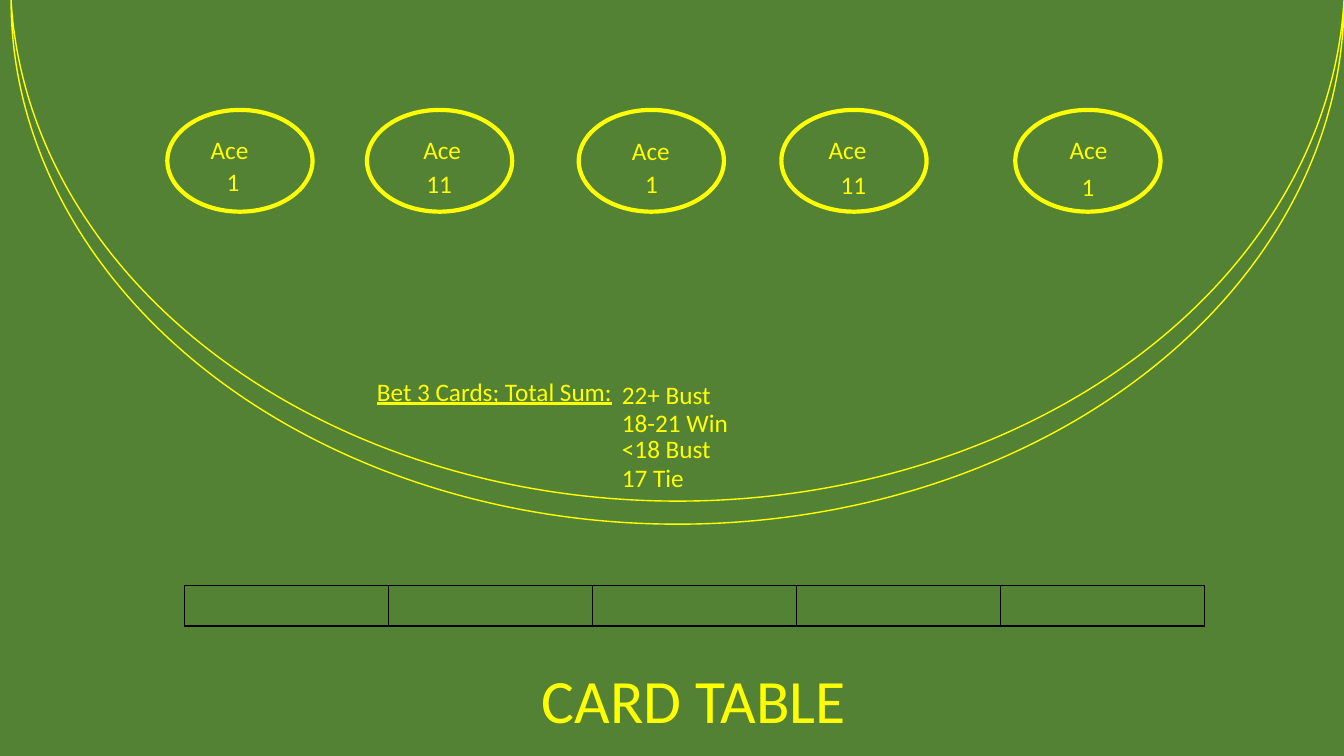
from dataclasses import dataclass

from lxml.etree import SubElement
from pptx import Presentation
from pptx.dml.color import RGBColor as RGB
from pptx.enum.shapes import MSO_SHAPE as SHAPE
from pptx.enum.text import MSO_AUTO_SIZE as AUTO, PP_ALIGN as ALIGN
from pptx.oxml.ns import qn
from pptx.util import Inches, Pt


@dataclass(frozen=True)
class Theme:
    """Colours, font and type sizes of the card table."""
    felt: RGB = RGB(0x54, 0x82, 0x35)
    chalk: RGB = RGB(0xFF, 0xFF, 0x00)
    grid: str = "000000"
    font: str = "Calibri"
    body: int = 18
    title: int = 44


class Board:
    """Draws elements on the current slide in one theme."""

    def __init__(self, prs, theme):
        """Add a blank slide with a felt background."""
        self.theme = theme
        self.s = prs.slides.add_slide(prs.slide_layouts[6])
        fill = self.s.background.fill
        fill.solid()
        fill.fore_color.rgb = theme.felt

    def outline(self, kind, x, y, w, h, weight):
        """Add an unfilled preset shape with a chalk line."""
        sp = self.s.shapes.add_shape(kind, Inches(x), Inches(y), Inches(w), Inches(h))
        sp.shadow.inherit = False
        sp.fill.background()
        sp.line.color.rgb = self.theme.chalk
        sp.line.width = Pt(weight)
        return sp

    def text(self, words, x, y, w, h=0.4, size=None, align=ALIGN.LEFT, underline=None):
        """Add a one-line text box."""
        tf = self.s.shapes.add_textbox(Inches(x), Inches(y), Inches(w), Inches(h)).text_frame
        tf.word_wrap = True
        tf.auto_size = AUTO.SHAPE_TO_FIT_TEXT
        p = tf.paragraphs[0]
        p.text = words
        p.alignment = align
        p.font.name = self.theme.font
        p.font.size = Pt(size or self.theme.body)
        p.font.color.rgb = self.theme.chalk
        p.font.underline = underline

    def grid(self, cols, x, y, w, h):
        """Add a one-row table of empty, bordered cells."""
        table = self.s.shapes.add_table(1, cols, Inches(x), Inches(y), Inches(w), Inches(h)).table
        table.first_row = table.horz_banding = False
        for cell in table.iter_cells():
            cell.text_frame.paragraphs[0].font.size = Pt(self.theme.body)
            props = cell._tc.get_or_add_tcPr()
            for side in ("a:lnL", "a:lnR", "a:lnT", "a:lnB"):
                ln = SubElement(props, qn(side), w=str(Pt(1)))
                SubElement(SubElement(ln, qn("a:solidFill")), qn("a:srgbClr"), val=self.theme.grid)
            cell.fill.background()


def main():
    """Build the betting layout and save it."""
    prs = Presentation()
    prs.slide_width, prs.slide_height = Inches(13.33), Inches(7.5)
    theme = Theme()
    board = Board(prs, theme)

    rim = board.outline(SHAPE.MOON, 4.12, -4.01, 5.2, 13.22, 1)
    rim.rotation = 270
    rim.adjustments[0] = 0.044

    spots = [
        (1.66, (1.99, 1.28), "1", (2.15, 1.6)),
        (3.64, (4.1, 1.28), "11", (4.13, 1.62)),
        (5.74, (6.17, 1.29), "1", (6.3, 1.62)),
        (7.75, (8.12, 1.28), "11", (8.24, 1.63)),
        (10.07, (10.51, 1.28), "1", (10.63, 1.65)),
    ]
    for left, ace_at, value, value_at in spots:
        board.outline(SHAPE.OVAL, left, 1.09, 1.44, 1.01, 3)
        board.text("Ace", *ace_at, 0.7)
        board.text(value, *value_at, 0.17 + 0.15 * len(value))

    board.text("Bet 3 Cards; Total Sum:", 3.64, 3.68, 2.59, underline=True)
    rules = [("22+ Bust", 3.71), ("18-21 Win", 3.99), ("<18 Bust", 4.25), ("17 Tie", 4.54)]
    for rule, top in rules:
        board.text(rule, 6.07, top, 1.95)

    board.grid(5, 1.83, 5.81, 10.12, 0.4)
    board.text("CARD TABLE", 3.53, 6.52, 6.71, 0.84, theme.title, ALIGN.CENTER)
    prs.save("out.pptx")


if __name__ == "__main__":
    main()
